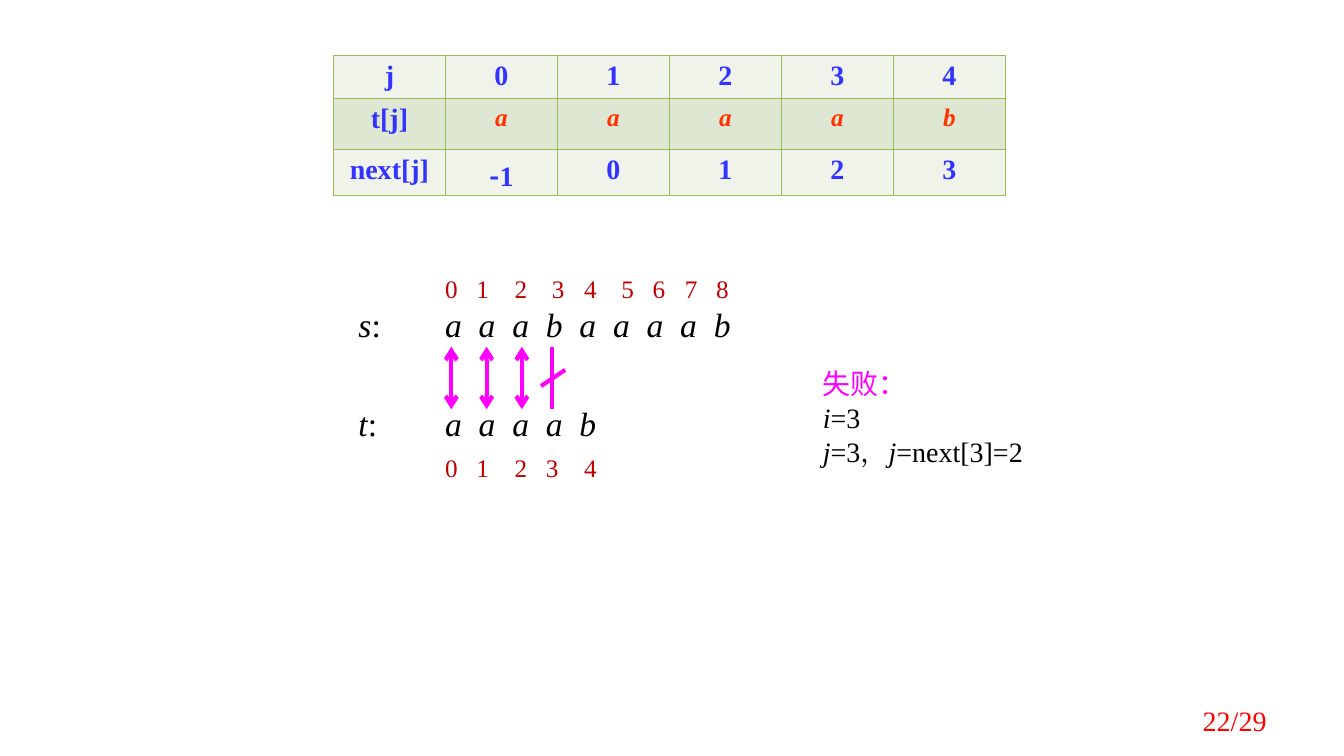
from lxml import etree
from pptx import Presentation
from pptx.dml.color import RGBColor
from pptx.enum.shapes import MSO_CONNECTOR
from pptx.enum.text import MSO_ANCHOR, PP_ALIGN
from pptx.oxml.ns import qn
from pptx.util import Inches, Pt

COLORS = {"blue": "3333FF", "orange": "FF3300", "red": "FF0000", "dark red": "C00000",
          "magenta": "FF00FF", "black": "000000", "border": "9BBB59",
          "light row": "EFF3EA", "dark row": "DEE7D1"}
TIMES, NOTO = "Times New Roman", "Noto Sans CJK SC"


def add_run(paragraph, text, size, color, italic=False, bold=False, name=TIMES):
    run = paragraph.add_run()
    run.text = text
    formats = {"size": Pt(size), "name": name, "italic": italic, "bold": bold}
    for attribute, value in formats.items():
        setattr(run.font, attribute, value)
    run.font.color.rgb = RGBColor.from_string(COLORS[color])
    etree.SubElement(run.font._element, qn("a:ea"), typeface=name)


def add_text(left, top, width, height, lines, size, tabs=()):
    box = slide.shapes.add_textbox(Inches(left), Inches(top), Inches(width), Inches(height))
    frame = box.text_frame
    frame.word_wrap = True
    for index, line in enumerate(lines):
        paragraph = frame.add_paragraph() if index else frame.paragraphs[0]
        if tabs:
            tab_list = etree.SubElement(paragraph._p.get_or_add_pPr(), qn("a:tabLst"))
            for position in tabs:
                etree.SubElement(tab_list, qn("a:tab"), pos=str(Inches(position)), algn="l")
        for text, *style in line:
            add_run(paragraph, text, size, *style)
    return frame


presentation = Presentation()
presentation.slide_width, presentation.slide_height = Inches(13.34), Inches(7.5)
slide = presentation.slides.add_slide(presentation.slide_layouts[6])

# Table of next values
rows = [["j", "0", "1", "2", "3", "4"],
        ["t[j]", "a", "a", "a", "a", "b"],
        ["next[j]", "-1", "0", "1", "2", "3"]]
table = slide.shapes.add_table(3, 6, Inches(3.31), Inches(0.55), Inches(6.67), Inches(1.37)).table
for column in table.columns:
    column.width = Inches(6.67 / 6)
for row, height in zip(table.rows, (0.43, 0.5, 0.43)):
    row.height = Inches(height)
for row_index, row in enumerate(rows):
    for column_index, text in enumerate(row):
        cell = table.cell(row_index, column_index)
        properties = cell._tc.get_or_add_tcPr()
        for side in ("a:lnL", "a:lnR", "a:lnT", "a:lnB"):
            border = etree.SubElement(properties, qn(side), w=str(Pt(0.45)))
            fill = etree.SubElement(border, qn("a:solidFill"))
            etree.SubElement(fill, qn("a:srgbClr"), val=COLORS["border"])
        cell.fill.solid()
        row_color = COLORS["dark row" if row_index == 1 else "light row"]
        cell.fill.fore_color.rgb = RGBColor.from_string(row_color)
        paragraph = cell.text_frame.paragraphs[0]
        paragraph.alignment = PP_ALIGN.CENTER
        if row_index == 1 and column_index:
            add_run(paragraph, text, 18, "orange", italic=True, bold=True)
        elif text == "-1":
            cell.margin_bottom = 0
            add_run(paragraph, "-", 20, "blue", bold=True, name=NOTO)
            add_run(paragraph, "1", 20, "blue", bold=True)
        else:
            add_run(paragraph, text, 20, "blue", bold=True)

# Strings s and t, with the index of each letter
strings = [
    ("s", "aaabaaaab", 2.97, 2.66, 3.36, (0.31, 0.69, 1.06, 1.38, 1.75, 2.06, 2.38, 2.69)),
    ("t", "aaaab", 3.95, 4.44, 3.36, (0.31, 0.69, 1, 1.38)),
]
for name, letters, top, index_top, width, index_tabs in strings:
    letter_tabs = [step / 3 for step in range(1, len(letters))]
    indexes = "\t".join(str(index) for index in range(len(letters)))
    add_text(3.46, top, 0.7, 0.5, [[(name, "black", True), (":", "black")]], 24)
    add_text(4.32, top, width, 0.5, [[("\t".join(letters), "black", True)]], 24, letter_tabs)
    add_text(4.32, index_top, width, 0.4, [[(indexes, "dark red")]], 18, index_tabs)

# Three matches with arrows, then the struck-out mismatch
marks = [(x, 3.44, x, 4.06, True) for x in (4.48, 4.83, 5.18)]
marks += [(5.48, 3.44, 5.48, 4.06, False), (5.61, 3.67, 5.37, 3.83, False)]
for x1, y1, x2, y2, has_arrows in marks:
    connector = slide.shapes.add_connector(
        MSO_CONNECTOR.STRAIGHT, Inches(x1), Inches(y1), Inches(x2), Inches(y2))
    connector.line.width = Pt(3)
    connector.line.color.rgb = RGBColor.from_string(COLORS["magenta"])
    if has_arrows:
        for end in ("a:headEnd", "a:tailEnd"):
            etree.SubElement(connector.line._get_or_add_ln(), qn(end), type="arrow")
    etree.SubElement(connector._element.spPr, qn("a:effectLst"))

# Result of the comparison
add_text(8.07, 3.59, 2.5, 1.1, [
    [("失败：", "magenta", False, False, NOTO)],
    [("i", "black", True), ("=3", "black")],
    [("j", "black", True), ("=3，", "black"), ("j", "black", True), ("=next[3]=2", "black")],
], 20)

# Page number
page_frame = add_text(9.56, 6.95, 3.11, 0.4, [[("22/29", "red")]], 20)
page_frame.vertical_anchor = MSO_ANCHOR.MIDDLE
page_frame.paragraphs[0].alignment = PP_ALIGN.RIGHT

presentation.save("out.pptx")
